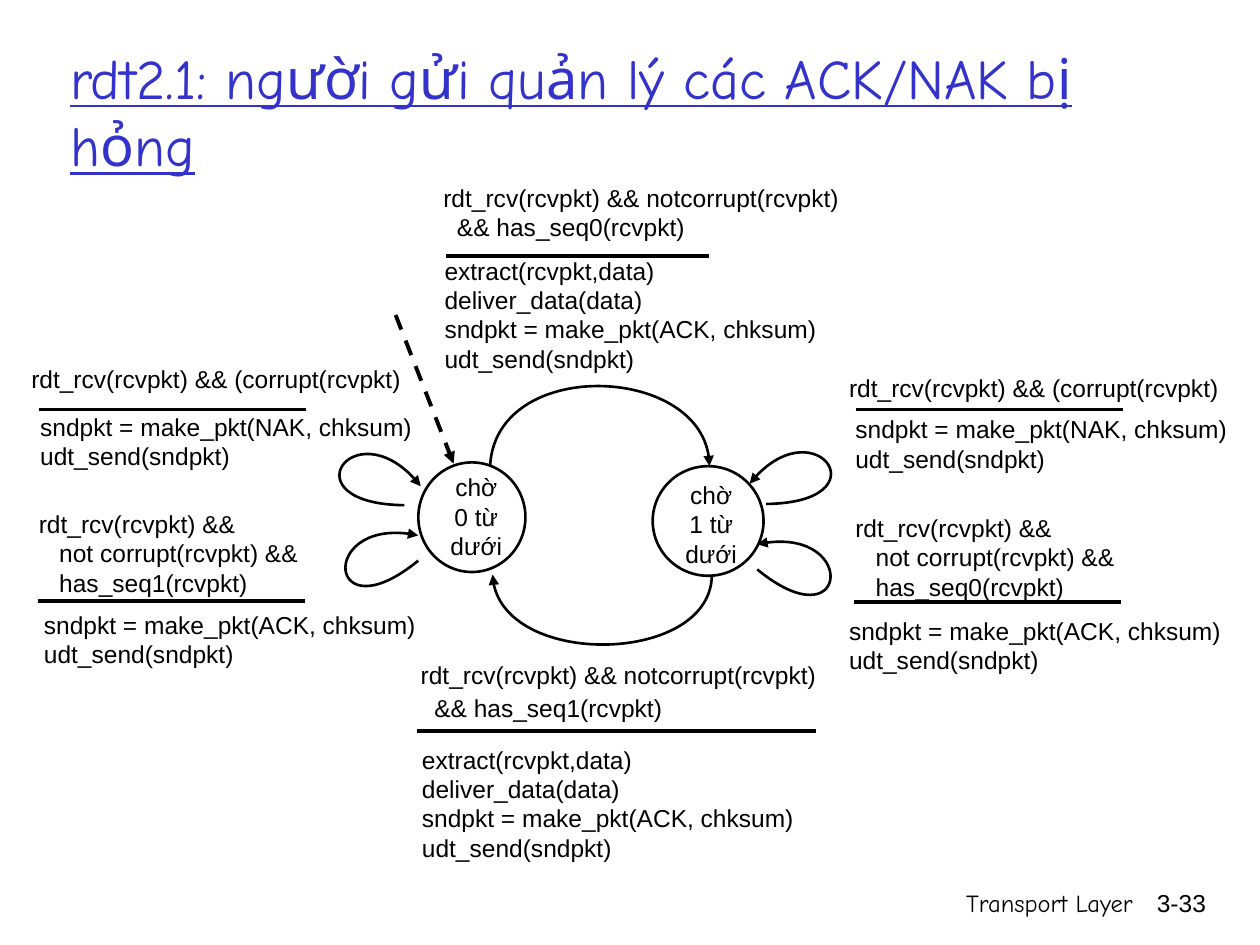
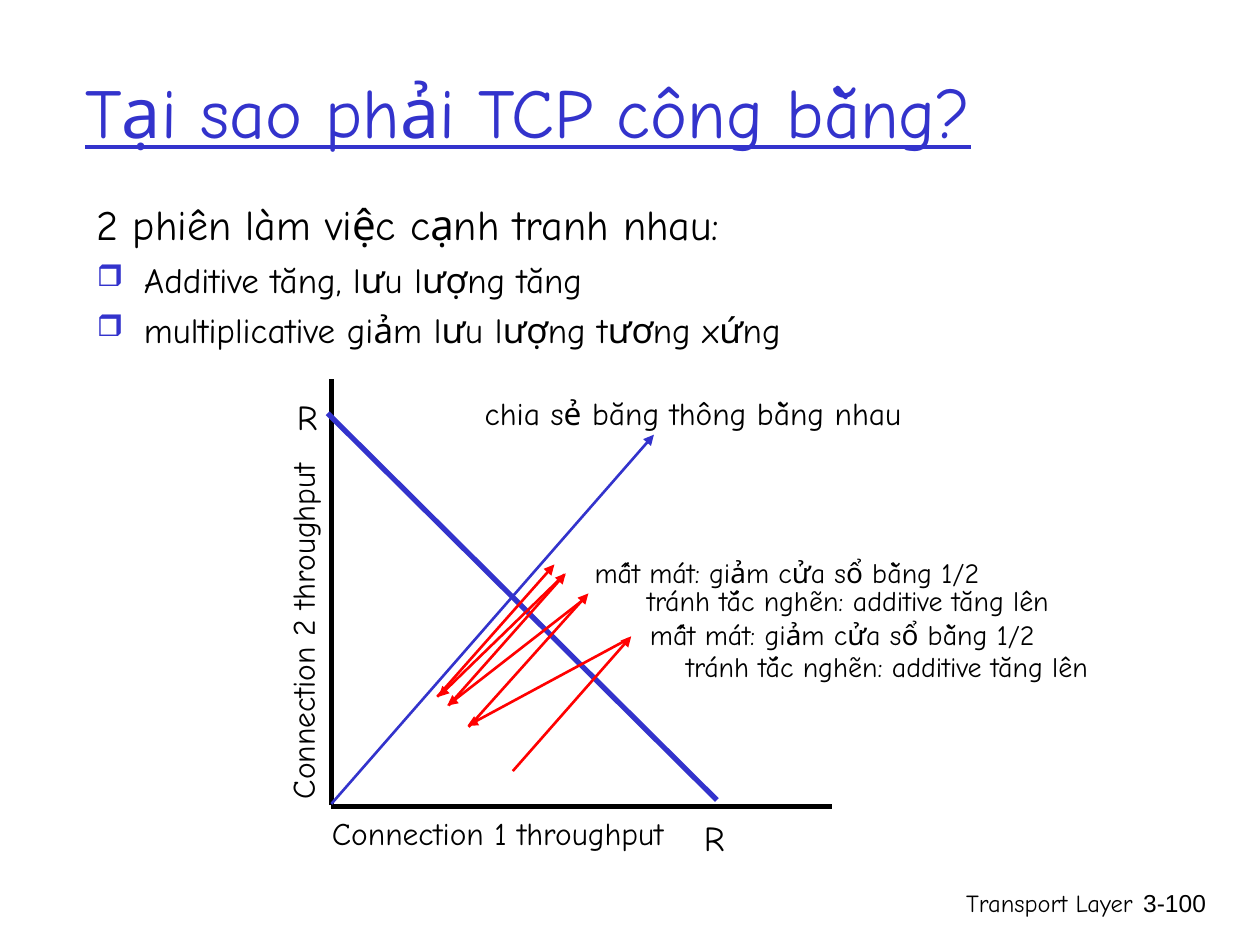
from dataclasses import dataclass

from lxml import etree
from pptx import Presentation
from pptx.dml.color import RGBColor
from pptx.enum.dml import MSO_LINE
from pptx.enum.shapes import MSO_CONNECTOR, MSO_SHAPE
from pptx.enum.text import MSO_ANCHOR, PP_ALIGN
from pptx.oxml.ns import qn
from pptx.util import Cm, Pt

STRAIGHT = MSO_CONNECTOR.STRAIGHT
ELLIPSE = MSO_SHAPE.OVAL
DASH = MSO_LINE.DASH
LEFT, CENTER, RIGHT = PP_ALIGN.LEFT, PP_ALIGN.CENTER, PP_ALIGN.RIGHT
TOP, MIDDLE = MSO_ANCHOR.TOP, MSO_ANCHOR.MIDDLE

BLACK, WHITE, BLUE, RED = "000000", "FFFFFF", "3333CC", "FF0000"
HAND, SANS = "Comic Neue", "Arial"
CM_PER_INCH = 2.54

Point = tuple[float, float]
Box = tuple[float, float, float, float]


@dataclass(frozen=True)
class Style:
    size: float = 14
    font: str = SANS
    color: str = BLACK
    align: PP_ALIGN = LEFT
    anchor: MSO_ANCHOR = TOP
    underline: bool = False
    wrap: bool = True
    rotation: float = 0
    gap: float = 0  # points before every paragraph but the first


@dataclass(frozen=True)
class Transition:
    """Event above a bar, actions below it."""
    event_box: Box
    event: list[str]
    bar: tuple[float, float, float]  # left, right, height on the slide
    action_box: Box
    action: list[str]
    event_gap: float = 0


@dataclass(frozen=True)
class State:
    circle: Box
    label_box: Box
    label: list[str]


@dataclass(frozen=True)
class Line:
    start: Point
    end: Point
    color: str = BLACK
    width: float = 1.5
    arrow: bool = False
    dashed: bool = False


@dataclass(frozen=True)
class Label:
    box: Box
    text: str
    style: Style


CODE = Style()
STATE_NAME = Style(align=CENTER)
AXIS_NAME = Style(18, HAND, align=CENTER)
AXIS_END = Style(20, HAND, align=CENTER)
AVOIDANCE = Style(16, HAND, align=CENTER)
LOSS = Style(16, HAND, align=CENTER, wrap=False)

# Sender and receiver code
SEND_NAK = ["sndpkt = make_pkt(NAK, chksum)", "udt_send(sndpkt)"]
SEND_ACK = ["sndpkt = make_pkt(ACK, chksum)", "udt_send(sndpkt)"]
DELIVER = ["extract(rcvpkt,data)", "deliver_data(data)", *SEND_ACK]
CORRUPT = ["rdt_rcv(rcvpkt) && (corrupt(rcvpkt)"]


def expected(seq: int) -> list[str]:
    return ["rdt_rcv(rcvpkt) && notcorrupt(rcvpkt)", f"  && has_seq{seq}(rcvpkt)"]


def duplicate(seq: int) -> list[str]:
    return ["rdt_rcv(rcvpkt) &&", "   not corrupt(rcvpkt) &&",
            f"   has_seq{seq}(rcvpkt)"]


TRANSITIONS = [
    Transition((3.42, 1.4, 4.35, 0.63), expected(0), (3.54, 5.63, 2.03),
               (3.43, 1.98, 3.8, 0.77), DELIVER),
    Transition((3.24, 5.19, 3.92, 0.62), expected(1), (3.31, 6.48, 5.8),
               (3.25, 5.86, 4.21, 1.09), DELIVER, event_gap=2),
    Transition((0.15, 2.84, 3.14, 0.67), CORRUPT, (0.31, 2.43, 3.25),
               (0.22, 3.22, 3.31, 0.45), SEND_NAK),
    Transition((6.64, 2.91, 3.14, 0.67), CORRUPT, (6.79, 8.91, 3.25),
               (6.69, 3.24, 3.31, 0.45), SEND_NAK),
    Transition((0.21, 3.99, 2.87, 0.67), duplicate(1), (0.3, 2.42, 4.77),
               (0.25, 4.79, 3.22, 0.45), SEND_ACK),
    Transition((6.69, 4.02, 2.87, 0.67), duplicate(0), (6.78, 8.9, 4.78),
               (6.64, 4.84, 3.22, 0.45), SEND_ACK),
]

STATES = [
    State((3.32, 3.67, 0.85, 0.87), (3.34, 3.7, 0.88, 0.67), ["chờ", "0 từ dưới"]),
    State((5.18, 3.7, 0.88, 0.87), (5.21, 3.76, 0.87, 0.67), ["chờ", "1 từ dưới"]),
]

# Bezier points of each arrow: start, two controls, tip
STATE_ARROWS: list[list[Point]] = [
    [(3.89, 3.7), (3.93, 2.84), (5.63, 2.89), (5.63, 3.7)],
    [(5.65, 4.56), (5.65, 5.27), (3.94, 5.31), (3.91, 4.56)],
    [(6.08, 4), (7.01, 3.99), (6.46, 3.2), (5.95, 3.84)],
    [(6.01, 4.52), (6.73, 5.11), (6.82, 4.15), (6.01, 4.32)],
    [(3.32, 4.45), (2.6, 5.04), (2.52, 4.08), (3.32, 4.25)],
    [(3.21, 4.01), (2.28, 4), (2.83, 3.21), (3.34, 3.86)],
]

THROUGHPUT_LINES = [
    Line((2.63, 6.4), (6.6, 6.4), width=3),
    Line((2.63, 6.39), (2.63, 3.01), width=3),
    Line((2.63, 6.38), (5.19, 3.45), BLUE, arrow=True),
    Line((2.6, 3.28), (5.69, 6.35), BLUE, 3),
]

# Additive rise, then multiplicative drop, in turn
WINDOW_MOVES: list[tuple[Point, Point]] = [
    ((4.07, 6.12), (5.01, 5.05)),
    ((4.99, 5.07), (3.71, 5.76)),
    ((3.72, 5.77), (4.67, 4.71)),
    ((4.63, 4.76), (3.55, 5.6)),
    ((3.56, 5.6), (4.49, 4.55)),
    ((4.48, 4.56), (3.48, 5.53)),
    ((3.47, 5.53), (4.4, 4.48)),
]

LOSS_TEXT = "mất mát: giảm cửa sổ bằng 1/2"
AVOIDANCE_TEXT = "tránh tắc nghẽn: additive tăng lên"
THROUGHPUT_LABELS = [
    Label((2.22, 3.09, 0.44, 0.44), "R", AXIS_END),
    Label((5.45, 6.43, 0.44, 0.44), "R", AXIS_END),
    Label((3.56, 3.08, 3.88, 0.4), "chia sẻ băng thông bằng nhau", AXIS_NAME),
    Label((2.01, 6.41, 3.88, 0.4), "Connection 1 throughput", AXIS_NAME),
    Label((0.46, 4.81, 3.88, 0.4), "Connection 2 throughput",
          Style(18, HAND, align=CENTER, rotation=270)),
    Label((4.56, 5.11, 4.96, 0.37), AVOIDANCE_TEXT, AVOIDANCE),
    Label((5.06, 4.85, 3.25, 0.37), LOSS_TEXT, LOSS),
    Label((4.25, 4.58, 4.96, 0.37), AVOIDANCE_TEXT, AVOIDANCE),
    Label((4.62, 4.36, 3.25, 0.37), LOSS_TEXT, LOSS),
]


def rgb(color: str) -> RGBColor:
    return RGBColor.from_string(color)


def lengths(*inches: float) -> list[Cm]:
    return [Cm(value * CM_PER_INCH) for value in inches]


def style_paragraph(paragraph, style: Style) -> None:
    paragraph.alignment = style.align
    font = paragraph.font
    font.size, font.name = Pt(style.size), style.font
    font.color.rgb = rgb(style.color)
    if style.underline:
        font.underline = True


def add_text(slide, box: Box, lines: list[str], style: Style):
    text_box = slide.shapes.add_textbox(*lengths(*box))
    text_box.rotation = style.rotation
    frame = text_box.text_frame
    frame.word_wrap, frame.vertical_anchor = style.wrap, style.anchor
    for index, line in enumerate(lines):
        paragraph = frame.add_paragraph() if index else frame.paragraphs[0]
        paragraph.text = line
        if index and style.gap:
            paragraph.space_before = Pt(style.gap)
        style_paragraph(paragraph, style)
    return frame


def add_arrowhead(shape) -> None:
    outline = shape.line._get_or_add_ln()
    etree.SubElement(outline, qn("a:tailEnd"), type="triangle")


def set_outline(shape, color: str, width: float) -> None:
    shape.line.color.rgb = rgb(color)
    shape.line.width = Pt(width)


def add_line(slide, line: Line) -> None:
    connector = slide.shapes.add_connector(STRAIGHT, *lengths(*line.start, *line.end))
    set_outline(connector, line.color, line.width)
    if line.dashed:
        connector.line.dash_style = DASH
    if line.arrow:
        add_arrowhead(connector)
    etree.SubElement(connector._element.spPr, qn("a:effectLst"))


def add_curved_arrow(slide, points: list[Point]) -> None:
    start, *others = [lengths(*point) for point in points]
    builder = slide.shapes.build_freeform(*start)
    builder.add_line_segments(others, close=False)
    curve = builder.convert_to_shape()
    # Turn the three straight segments into one cubic curve
    path = next(curve._element.iter(qn("a:path")))
    bezier = etree.SubElement(path, qn("a:cubicBezTo"))
    for segment in path.findall(qn("a:lnTo")):
        bezier.append(segment[0])
        path.remove(segment)
    curve.shadow.inherit = False
    curve.fill.background()
    set_outline(curve, BLACK, 1.5)
    add_arrowhead(curve)


def add_state(slide, state: State) -> None:
    circle = slide.shapes.add_shape(ELLIPSE, *lengths(*state.circle))
    circle.shadow.inherit = False
    circle.fill.solid()
    circle.fill.fore_color.rgb = rgb(WHITE)
    set_outline(circle, BLACK, 1.5)
    add_text(slide, state.label_box, state.label, STATE_NAME)


def add_transition(slide, transition: Transition) -> None:
    add_text(slide, transition.event_box, transition.event,
             Style(gap=transition.event_gap))
    left, right, height = transition.bar
    add_line(slide, Line((left, height), (right, height), width=2.25))
    add_text(slide, transition.action_box, transition.action, CODE)


def add_bullet(paragraph) -> None:
    properties = paragraph._p.get_or_add_pPr()
    color = etree.SubElement(properties, qn("a:buClr"))
    etree.SubElement(color, qn("a:srgbClr"), val=BLUE)
    etree.SubElement(properties, qn("a:buSzPct"), val="85000")
    etree.SubElement(properties, qn("a:buChar"), char="❒")


def add_sessions(slide) -> None:
    frame = add_text(slide, (0.67, 1.53, 9.08, 5.08),
                     ["2 phiên làm việc cạnh tranh nhau:"], Style(24, HAND))
    indent = Cm(0.95)
    for point in ("Additive tăng, lưu lượng tăng",
                  "multiplicative giảm lưu lượng tương xứng"):
        paragraph = frame.add_paragraph()
        paragraph.text = point
        paragraph.space_before = Pt(5)
        properties = paragraph._p.get_or_add_pPr()
        properties.set("marL", str(indent))
        properties.set("indent", str(-indent))
        add_bullet(paragraph)
        style_paragraph(paragraph, Style(20, HAND))


def new_slide(deck, title: str, title_box: Box, title_size: float, number: str):
    slide = deck.slides.add_slide(deck.slide_layouts[6])
    add_text(slide, (5.92, 7, 3.17, 0.5), ["Transport Layer"],
             Style(14, HAND, align=RIGHT))
    add_text(slide, (8.93, 7, 0.74, 0.5), [number], Style(align=RIGHT))
    add_text(slide, title_box, [title],
             Style(title_size, HAND, BLUE, anchor=MIDDLE, underline=True))
    return slide


def build_state_machine(deck) -> None:
    slide = new_slide(deck, "rdt2.1: người gửi quản lý các ACK/NAK bị hỏng",
                      (0.46, 0.25, 9.1, 1.25), 32, "3-33")
    for state in STATES:
        add_state(slide, state)
    add_line(slide, Line((3.14, 2.5), (3.6, 3.68), width=2.25, arrow=True, dashed=True))
    for points in STATE_ARROWS:
        add_curved_arrow(slide, points)
    for transition in TRANSITIONS:
        add_transition(slide, transition)


def build_fairness(deck) -> None:
    slide = new_slide(deck, "Tại sao phải TCP công bằng?",
                      (0.58, 0.25, 8.5, 1.25), 40, "3-100")
    add_sessions(slide)
    for line in THROUGHPUT_LINES:
        add_line(slide, line)
    for start, end in WINDOW_MOVES:
        add_line(slide, Line(start, end, RED, arrow=True))
    for label in THROUGHPUT_LABELS:
        add_text(slide, label.box, [label.text], label.style)


def main() -> None:
    deck = Presentation()
    deck.slide_width, deck.slide_height = Cm(25.4), Cm(19.05)
    build_state_machine(deck)
    build_fairness(deck)
    deck.save("out.pptx")


if __name__ == "__main__":
    main()
